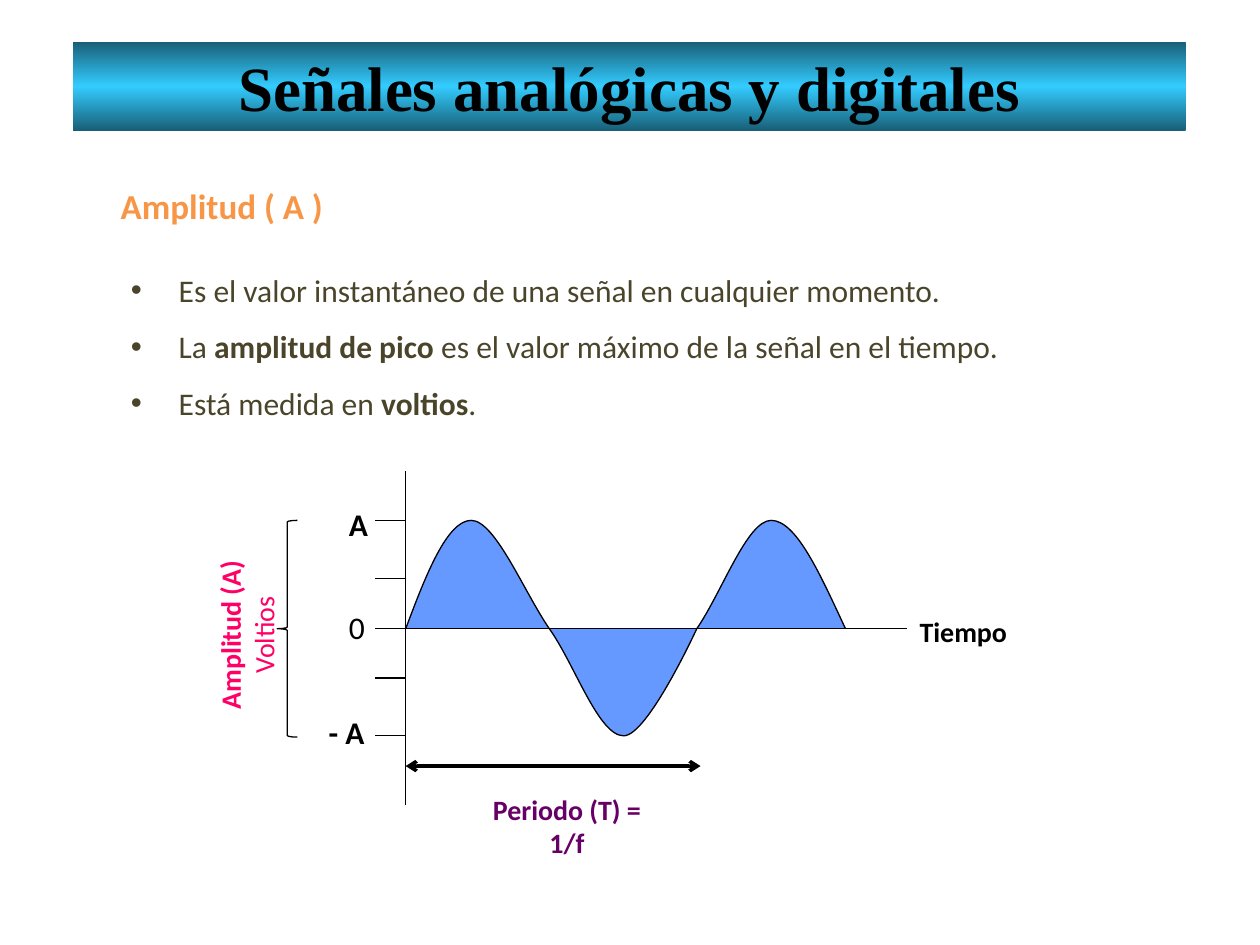
from copy import deepcopy
from dataclasses import dataclass

from lxml import etree
from pptx import Presentation
from pptx import util as u
from pptx.dml.color import RGBColor
from pptx.enum import shapes, text
from pptx.oxml.ns import qn


@dataclass(frozen=True)
class Theme:
    serif: str = "Times New Roman"
    sans: str = "Calibri"
    black: str = "000000"
    white: str = "FFFFFF"
    edge: str = "185E76"
    glow: str = "33CCFF"
    orange: str = "F79646"
    olive: str = "4A452A"
    wave: str = "6699FF"
    pink: str = "FF0066"
    purple: str = "660066"
    title: int = 36
    head: int = 20
    body: int = 18
    label: int = 16
    thin: float = 0.75
    thick: float = 2


T = Theme()
CENTER = text.PP_ALIGN.CENTER
BULLETS = [
    [("Es el valor instantáneo de una señal en cualquier momento.", False)],
    [("La ", False), ("amplitud de pico", True),
     (" es el valor máximo de la señal en el tiempo.", False)],
    [("Está medida en ", False), ("voltios", True), (".", False)],
]


def rgb(color):
    return RGBColor.from_string(color)


def write(par, parts, size, color, face=T.sans, align=None):
    par.alignment = align
    for words, bold in parts:
        run = par.add_run()
        run.text = words
        font = run.font
        font.name, font.size, font.bold = face, u.Pt(size), bold
        font.color.rgb = rgb(color)


def add_text(host, box, parts, size, color, align=None):
    shape = host.shapes.add_textbox(*map(u.Inches, box))
    frame = shape.text_frame
    frame.word_wrap = True
    write(frame.paragraphs[0], parts, size, color, align=align)
    return shape


def paint(shape, fill):
    shape.shadow.inherit = False
    shape.fill.solid()
    shape.fill.fore_color.rgb = rgb(fill)
    shape.line.color.rgb = rgb(T.black)
    shape.line.width = u.Pt(T.thin)


def add_line(host, start, end, width=T.thin, arrows=False):
    line = host.shapes.add_connector(
        shapes.MSO_CONNECTOR.STRAIGHT, *map(u.Inches, (*start, *end)))
    line.line.color.rgb = rgb(T.black)
    line.line.width = u.Pt(width)
    props = line._element.spPr
    etree.SubElement(props, qn("a:effectLst"))
    if arrows:
        for tag in ("a:headEnd", "a:tailEnd"):
            etree.SubElement(props.find(qn("a:ln")), qn(tag), type="arrow")


def add_title(slide, box):
    bar = slide.shapes.add_shape(
        shapes.MSO_SHAPE.RECTANGLE, *map(u.Inches, box))
    bar.shadow.inherit = False
    bar.line.fill.background()
    bar.fill.gradient()
    bar.fill.gradient_angle = 90
    stops = bar._element.spPr.find(".//" + qn("a:gsLst"))
    stops.insert(1, deepcopy(stops[0]))
    shades = (0, T.edge), (0.5, T.glow), (1, T.edge)
    for stop, (place, color) in zip(bar.fill.gradient_stops, shades):
        stop.position = place
        stop.color.rgb = rgb(color)
    write(bar.text_frame.paragraphs[0],
          [("Señales analógicas y digitales", True)],
          T.title, T.black, T.serif, CENTER)


def add_head(slide, box):
    shape = add_text(slide, box, [("Amplitud ( A )", True)], T.head,
                     T.orange, text.PP_ALIGN.JUSTIFY)
    shape.text_frame.paragraphs[0].line_spacing = 1.5


def add_list(slide, box):
    frame = slide.shapes.add_textbox(*map(u.Inches, box)).text_frame
    frame.word_wrap = True
    for i, parts in enumerate(BULLETS):
        par = frame.add_paragraph() if i else frame.paragraphs[0]
        par.line_spacing = 1.5
        props = par._p.get_or_add_pPr()
        indent = u.Inches(0.38)
        props.set("marL", str(indent))
        props.set("indent", str(-indent))
        etree.SubElement(props, qn("a:buFont"), typeface="Arial")
        etree.SubElement(props, qn("a:buChar"), char="•")
        write(par, parts, T.body, T.olive)


def bend(shape):
    path_el = shape._element.spPr.find(".//" + qn("a:path"))
    lines = path_el.findall(qn("a:lnTo"))
    for i in range(0, len(lines), 3):
        curve = etree.SubElement(path_el, qn("a:cubicBezTo"))
        for line in lines[i:i + 3]:
            curve.append(line[0])
            path_el.remove(line)


def add_wave(host, left, mid, high, low):
    rise, fall, slope = mid - 0.43, mid + 0.28, mid - 0.29
    nodes = [
        (0.16, rise), (0.33, high), (0.52, high),
        (0.71, high), (0.94, slope), (1.14, mid),
        (1.34, fall), (1.53, low), (1.73, low),
        (1.92, low), (2.31, mid), (2.31, mid),
        (2.51, slope), (2.71, high), (2.9, high),
        (3.1, high), (3.29, rise), (3.49, mid),
    ]
    pen = host.shapes.build_freeform(u.Inches(left), u.Inches(mid), scale=1.0)
    pen.add_line_segments(
        [(u.Inches(left + dx), u.Inches(y)) for dx, y in nodes], close=False)
    wave = pen.convert_to_shape()
    bend(wave)
    paint(wave, T.wave)


def add_graph(slide, box):
    host = slide.shapes.add_group_shape()
    x, y, wide, tall = box
    axis, tick = x + 1.02, x + 0.78
    high, mid, low = y + 0.39, y + 1.25, y + 2.1
    add_wave(host, axis, mid, high, low)
    add_line(host, (axis, y), (axis, y + 2.65))
    for level in (high, y + 0.85, y + 1.64, low):
        add_line(host, (tick, level), (axis, level))

    side = add_text(host, (x - 1.06, y + 0.98, 1.64, 0.64),
                    [("Amplitud (A) ", True), ("Voltios", False)],
                    T.label, T.pink, CENTER)
    side.rotation = 270
    for words, dx, dy, width, bold in (
            ("0", 0.47, 1.04, 0.39, False),
            ("- A", 0.31, 1.87, 0.62, True),
            ("A", 0.47, 0.22, 0.39, True)):
        add_text(host, (x + dx, y + dy, width, 0.4), [(words, bold)],
                 T.body, T.black)

    brace = host.shapes.add_shape(
        shapes.MSO_SHAPE.LEFT_BRACE,
        *map(u.Inches, (x, high, 0.16, 1.72)))
    brace.adjustments[0] = 0.08
    paint(brace, T.white)

    end = x + wide - 1.09
    add_text(host, (end, y + 1.09, 1.09, 0.37), [("Tiempo", True)],
             T.label, T.black)
    add_line(host, (axis, y + 2.34), (axis + 2.34, y + 2.34),
             T.thick, arrows=True)
    add_text(host, (x + 1.56, y + tall - 0.64, 1.48, 0.64),
             [("Periodo (T) = 1/f", True)], T.label, T.purple, CENTER)
    add_line(host, (tick, mid), (end, mid))


def main():
    deck = Presentation()
    deck.slide_width, deck.slide_height = u.Inches(10), u.Inches(7.5)
    slide = deck.slides.add_slide(deck.slide_layouts[6])
    add_title(slide, (0.58, 0.33, 8.83, 0.71))
    add_head(slide, (0.86, 1.25, 2.66, 0.54))
    add_list(slide, (0.94, 1.95, 8.12, 1.56))
    add_graph(slide, (2.2, 3.74, 6.09, 3.14))
    deck.save("out.pptx")


if __name__ == "__main__":
    main()
